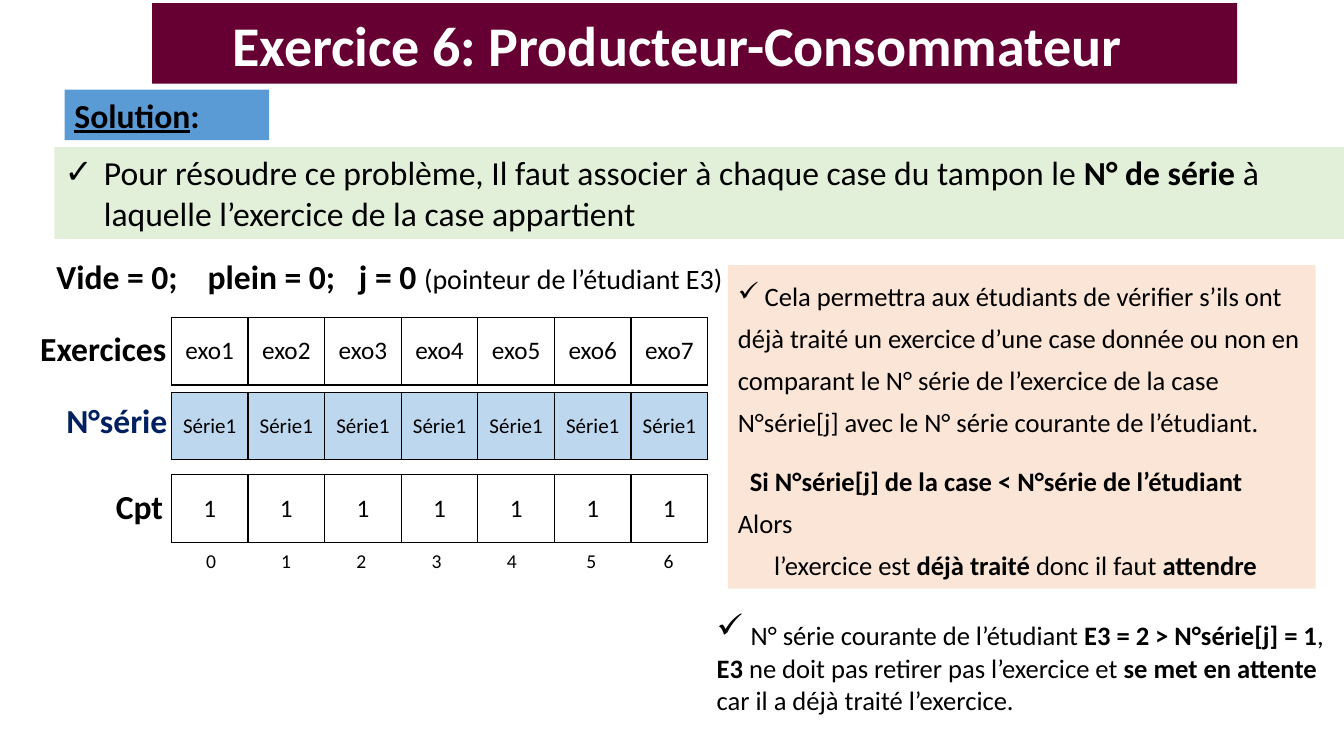
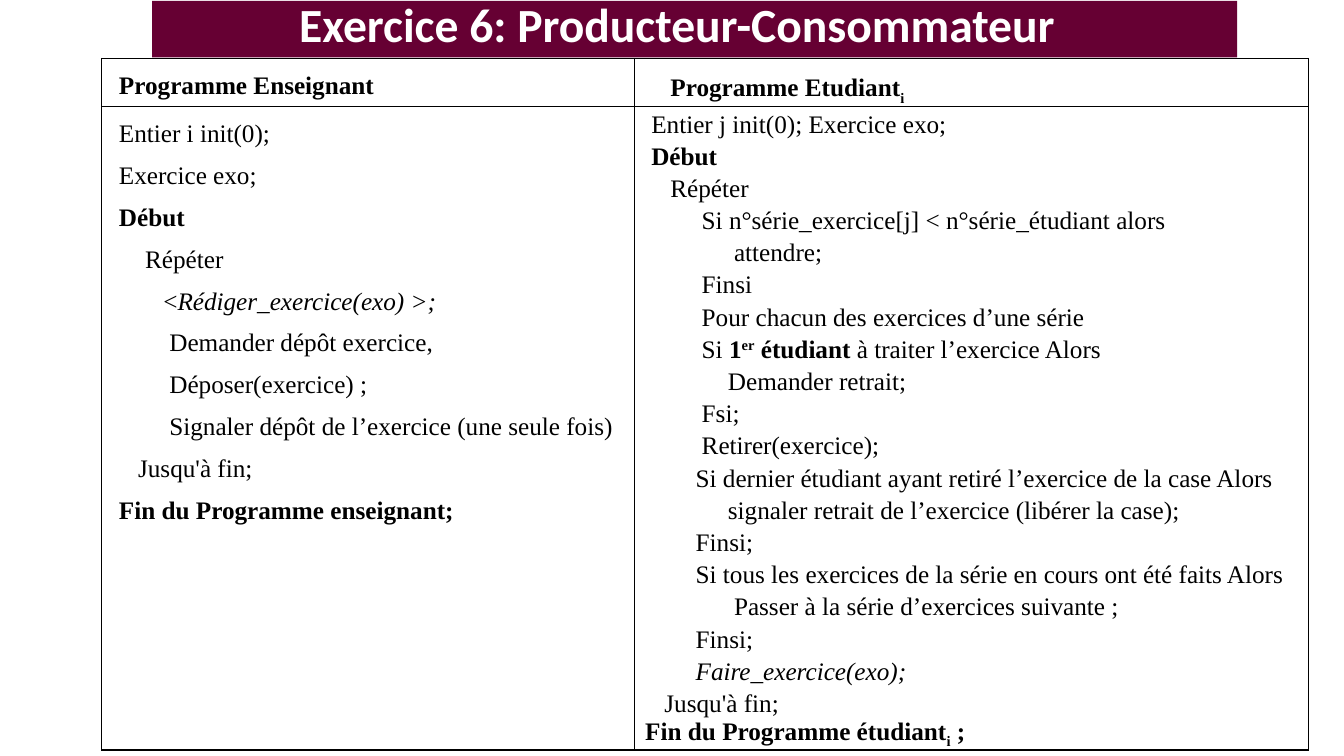
from dataclasses import dataclass, replace

from lxml import etree
from pptx import Presentation
from pptx.dml.color import RGBColor
from pptx.enum.text import MSO_ANCHOR, MSO_AUTO_SIZE, PP_ALIGN
from pptx.oxml.ns import qn
from pptx.util import Inches, Pt

BLACK = RGBColor(0x00, 0x00, 0x00)
WHITE = RGBColor(0xFF, 0xFF, 0xFF)
BURGUNDY = RGBColor(0x66, 0x00, 0x33)
NAVY = RGBColor(0x00, 0x20, 0x60)
BLUE = RGBColor(0x5B, 0x9B, 0xD5)
PALE_BLUE = RGBColor(0xBD, 0xD7, 0xEE)
PALE_GREEN = RGBColor(0xE2, 0xF0, 0xD9)
PALE_ORANGE = RGBColor(0xFB, 0xE5, 0xD6)

CENTER = PP_ALIGN.CENTER
LEFT = PP_ALIGN.LEFT
TOP = MSO_ANCHOR.TOP
MIDDLE = MSO_ANCHOR.MIDDLE
BOTTOM = MSO_ANCHOR.BOTTOM
FIXED = MSO_AUTO_SIZE.NONE

BODY_FONT = "Calibri"
CODE_FONT = "Times New Roman"
TITLE = "Exercice 6: Producteur-Consommateur"
CHECK = "✓"
BORDER_SIDES = ("a:lnL", "a:lnR", "a:lnT", "a:lnB")


@dataclass(frozen=True)
class Span:
    text: str
    size: float = 24
    bold: bool = False
    italic: bool = False
    underline: bool = False
    color: RGBColor = BLACK
    font: str = BODY_FONT
    baseline: int = 0


@dataclass(frozen=True)
class Para:
    spans: tuple[Span, ...]
    margin: float = 0
    indent: float = 0
    align: PP_ALIGN = LEFT
    spacing: object = 1.0
    after: float = 0
    bullet: str = ""
    tabs: tuple[float, ...] = ()


@dataclass(frozen=True)
class Area:
    left: float
    top: float
    width: float
    height: float


@dataclass(frozen=True)
class BufferRow:
    top: float
    values: tuple[str, ...]
    size: float
    label: Span
    label_area: Area
    fill: RGBColor | None = None


def place(shape, area: Area) -> None:
    shape.left, shape.top = Inches(area.left), Inches(area.top)
    shape.width, shape.height = Inches(area.width), Inches(area.height)


def write_span(para, item: Span) -> None:
    span = para.add_run()
    span.text = item.text
    font = span.font
    font.name, font.size = item.font, Pt(item.size)
    font.bold, font.italic, font.underline = item.bold, item.italic, item.underline
    font.color.rgb = item.color
    if item.baseline:
        span._r.get_or_add_rPr().set("baseline", str(item.baseline * 1000))


def write_text(frame, items: list[Para]) -> None:
    for number, item in enumerate(items):
        para = frame.add_paragraph() if number else frame.paragraphs[0]
        para.alignment = item.align
        para.line_spacing = item.spacing
        para.space_before, para.space_after = Pt(0), Pt(item.after)
        properties = para._p.get_or_add_pPr()
        properties.set("marL", str(Inches(item.margin)))
        properties.set("indent", str(Inches(item.indent)))
        if item.bullet:
            etree.SubElement(properties, qn("a:buChar"), char=item.bullet)
        else:
            etree.SubElement(properties, qn("a:buNone"))
        if item.tabs:
            stops = etree.SubElement(properties, qn("a:tabLst"))
            for stop in item.tabs:
                etree.SubElement(stops, qn("a:tab"), pos=str(Inches(stop)), algn="l")
        for span in item.spans:
            if span.text == "\n":
                para.add_line_break()
            else:
                write_span(para, span)


def fill_box(box, area: Area, items: list[Para], fill: RGBColor | None = None,
             anchor: MSO_ANCHOR = TOP) -> None:
    place(box, area)
    if fill is not None:
        box.fill.solid()
        box.fill.fore_color.rgb = fill
    frame = box.text_frame
    frame.word_wrap = True
    frame.auto_size = FIXED
    frame.vertical_anchor = anchor
    write_text(frame, items)


def add_box(page, area: Area, items: list[Para], fill: RGBColor | None = None):
    box = page.shapes.add_textbox(0, 0, 0, 0)
    fill_box(box, area, items, fill)
    return box


def set_title(page, area: Area, size: float) -> None:
    title = page.shapes.title
    span = Span(TITLE, size, bold=True, color=WHITE)
    fill_box(title, area, [Para((span,), align=CENTER, spacing=0.9)], BURGUNDY, BOTTOM)
    title.text_frame.margin_left = Inches(0.1)
    title.text_frame.margin_right = Inches(0.45)
    title.text_frame.margin_top = title.text_frame.margin_bottom = Inches(0.05)


def set_borders(cell, visible: bool) -> None:
    properties = cell._tc.get_or_add_tcPr()
    for position, side in enumerate(BORDER_SIDES):
        line = etree.Element(qn(side), w=str(Pt(1)))
        if visible:
            paint = etree.SubElement(line, qn("a:solidFill"))
            etree.SubElement(paint, qn("a:srgbClr"), val=str(BLACK))
        else:
            etree.SubElement(line, qn("a:noFill"))
        properties.insert(position, line)


def add_grid(page, area: Area, widths: list[float], heights: list[float],
             contents: list[list[list[Para]]], fill: RGBColor | None = None,
             anchor: MSO_ANCHOR = MIDDLE, borders: bool = True):
    table = page.shapes.add_table(
        len(heights), len(widths), Inches(area.left), Inches(area.top),
        Inches(area.width), Inches(area.height)).table
    table.first_row = table.horz_banding = False
    for column, width in zip(table.columns, widths):
        column.width = Inches(width)
    for row, height, row_contents in zip(table.rows, heights, contents):
        row.height = Inches(height)
        for cell, items in zip(row.cells, row_contents):
            if fill is None:
                cell.fill.background()
            else:
                cell.fill.solid()
                cell.fill.fore_color.rgb = fill
            cell.vertical_anchor = anchor
            set_borders(cell, borders)
            write_text(cell.text_frame, items)
    return table


def add_value_row(page, area: Area, values: tuple[str, ...], size: float,
                  fill: RGBColor | None = None, borders: bool = True):
    contents = [[[Para((Span(value, size),), align=CENTER)] for value in values]]
    widths = [area.width / len(values)] * len(values)
    return add_grid(page, area, widths, [area.height], contents, fill, borders=borders)


def code(margin: float, *spans: Span, spacing: object = 1.5) -> Para:
    styled = tuple(replace(span, size=18, font=CODE_FONT) for span in spans)
    return Para(styled, margin=margin, spacing=spacing)


def bold(text: str, size: float = 24) -> Span:
    return Span(text, size, bold=True)


def build_solution(deck) -> None:
    page = deck.slides.add_slide(deck.slide_layouts[1])
    set_title(page, Area(1.51, 0.03, 10.76, 0.8), 40)
    fill_box(page.placeholders[1], Area(0.54, 1.46, 12.8, 0.91), [Para((
        Span("Pour résoudre ce problème, Il faut associer à chaque case du tampon le "),
        bold("N° de série"),
        Span(" à laquelle l’exercice de la case appartient"),
    ), margin=0.39, indent=-0.39, after=12, bullet=CHECK)], PALE_GREEN)
    add_box(page, Area(0.64, 0.89, 2.03, 0.5), [Para((
        Span("Solution", bold=True, underline=True), bold(":")))], BLUE)
    pointer = add_box(page, Area(0.38, 2.49, 6.93, 0.5), [Para((
        bold("Vide = 0;\tplein = 0;\tj = 0 "),
        Span("(pointeur de l’étudiant E3)", 20)), tabs=(1.34, 2.83))])
    pointer.text_frame.margin_left = Inches(0.18)

    rows = (
        BufferRow(3.15, tuple(f"exo{n}" for n in range(1, 8)), 18,
                  bold("Exercices"), Area(0.3, 3.2, 2.03, 0.5)),
        BufferRow(3.89, ("Série1",) * 7, 15, Span("N°série", bold=True, color=NAVY),
                  Area(0.56, 3.92, 1.38, 0.5), PALE_BLUE),
        BufferRow(4.71, ("1",) * 7, 18, bold("Cpt"), Area(1.05, 4.77, 0.96, 0.5)),
    )
    for row in rows:
        add_value_row(page, Area(1.7, row.top, 5.32, 0.67), row.values, row.size, row.fill)
        add_box(page, row.label_area, [Para((row.label,))])
    indexes = add_value_row(page, Area(1.72, 5.4, 5.22, 0.33),
                            tuple(str(n) for n in range(7)), 14, borders=False)
    indexes.cell(0, 5).margin_left = Inches(0.19)
    indexes.cell(0, 6).margin_left = Inches(0.23)

    add_box(page, Area(7.22, 2.63, 5.83, 3.21), [
        Para((Span(" Cela permettra aux étudiants de vérifier s’ils ont déjà traité un "
                   "exercice d’une case donnée ou non en comparant le N° série de "
                   "l’exercice de la case N°série[j] avec le N° série courante de "
                   "l’étudiant.", 19),), spacing=Pt(30), after=12, bullet=CHECK),
        Para((bold("Si N°série[j] de la case < N°série de l’étudiant", 19),
              Span("\n"), Span("Alors", 19)), indent=0.12, spacing=Pt(30)),
        Para((Span("l’exercice est ", 19), bold("déjà traité ", 19),
              Span("donc il faut ", 19), bold("attendre", 19)),
             indent=0.36, spacing=Pt(30)),
    ], PALE_ORANGE)
    add_box(page, Area(7.01, 6.02, 6.31, 1.14), [Para((
        Span(" "), Span("N° série courante de l’étudiant ", 19),
        bold("E3 = 2 > N°série[j] = 1", 19), Span(", ", 19), bold("E3", 19),
        Span(" ne doit pas retirer pas l’exercice et ", 19),
        bold("se met en attente ", 19),
        Span("car il a déjà traité l’exercice.", 19),
    ), after=12, bullet=CHECK)])


def build_programs(deck) -> None:
    page = deck.slides.add_slide(deck.slide_layouts[5])
    set_title(page, Area(1.51, 0.01, 10.76, 0.56), 34)
    subscript = Span("i", bold=True, baseline=-25)
    headers = [
        [code(0.12, bold("Programme Enseignant"))],
        [code(0.31, bold("Programme Etudiant"), subscript)],
    ]
    teacher = [code(margin, *spans) for margin, *spans in (
        (0.12, Span("Entier i init(0);")),
        (0.12, Span("Exercice exo;")),
        (0.12, bold("Début")),
        (0.38, Span("Répéter")),
        (0.56, Span("<"), Span("Rédiger_exercice(exo) >;", italic=True)),
        (0.62, Span("Demander dépôt exercice,")),
        (0.62, Span("Déposer(exercice) ;")),
        (0.62, Span("Signaler dépôt de l’exercice (une seule fois)")),
        (0.31, Span("Jusqu'à fin;")),
        (0.12, bold("Fin du Programme enseignant;")),
    )]
    student = [code(margin, *spans, spacing=Pt(23)) for margin, *spans in (
        (0.12, Span("Entier j init(0); Exercice exo;")),
        (0.12, bold("Début")),
        (0.31, Span("Répéter")),
        (0.62, Span("Si n°série_exercice[j] < n°série_étudiant alors")),
        (0.94, Span("attendre;")),
        (0.62, Span("Finsi")),
        (0.62, Span("Pour chacun des exercices d’une série")),
        (0.62, Span("Si "), bold("1"), Span("er", bold=True, baseline=30),
         bold(" étudiant"), Span(" à traiter l’exercice Alors")),
        (0.88, Span("Demander retrait;")),
        (0.62, Span("Fsi;")),
        (0.62, Span("Retirer(exercice);")),
        (0.56, Span("Si dernier étudiant ayant retiré l’exercice de la case Alors")),
        (0.88, Span("signaler retrait de l’exercice (libérer la case);")),
        (0.56, Span("Finsi;")),
        (0.56, Span("Si tous les exercices de la série en cours ont été faits Alors")),
        (0.94, Span("Passer à la série d’exercices suivante ;")),
        (0.56, Span("Finsi;")),
        (0.56, Span("Faire_exercice(exo);", italic=True)),
        (0.25, Span("Jusqu'à fin;")),
        (0.06, bold("Fin du Programme étudiant"), subscript, bold(" ;")),
    )]
    table = add_grid(page, Area(1.01, 0.58, 11.97, 6.75), [5.28, 6.69], [0.44, 6.31],
                     [headers, [teacher, student]], anchor=TOP)
    for cell in table.iter_cells():
        cell.margin_left = cell.margin_right = Inches(0.05)
        cell.margin_top = cell.margin_bottom = 0


def main() -> None:
    deck = Presentation()
    deck.slide_width, deck.slide_height = Inches(13.33), Inches(7.5)
    build_solution(deck)
    build_programs(deck)
    deck.save("out.pptx")


main()
